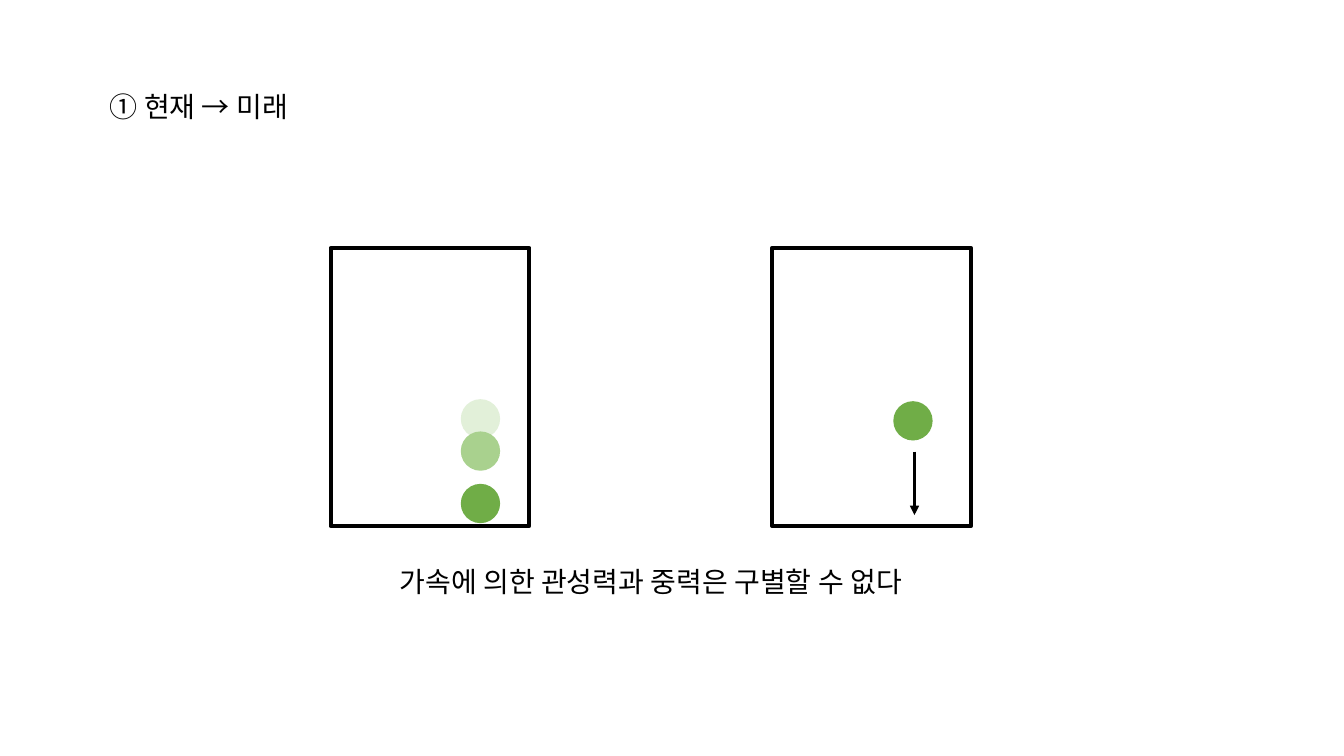
import pptx
import pptx.dml.color
import pptx.enum.shapes
import pptx.enum.text
import pptx.oxml.ns
import pptx.util
from lxml import etree

Inches = pptx.util.Inches
SHAPES = pptx.enum.shapes.MSO_SHAPE
ALIGN = pptx.enum.text.PP_ALIGN

FONT = "Noto Sans CJK KR"
BLACK = "000000"
LABELS = [
    ("① 현재 → 미래", 0.99, 0.84, 2.74, ALIGN.LEFT),
    ("가속에 의한 관성력과 중력은 구별할 수 없다", 3.52, 5.55, 5.87, ALIGN.CENTER),
]
LABEL_HEIGHT = 0.44
ROOM_LEFTS = [3.28, 7.66]
ROOM_TOP, ROOM_WIDTH, ROOM_HEIGHT = 2.46, 1.97, 2.76
BALL_SIZE = 0.39
BALLS = [
    (4.57, 3.96, "E2F0D9"),
    (4.57, 4.8, "70AD47"),
    (4.57, 4.28, "A9D18E"),
    (8.86, 3.98, "70AD47"),
]
ARROW_X, ARROW_TOP, ARROW_BOTTOM = 9.07, 4.48, 5.11


def color(value):
    return pptx.dml.color.RGBColor.from_string(value)


def set_line(line, width):
    line.color.rgb = color(BLACK)
    line.width = pptx.util.Pt(width)


def add_room(page, left):
    room = page.shapes.add_shape(SHAPES.RECTANGLE, Inches(left), Inches(ROOM_TOP),
                                 Inches(ROOM_WIDTH), Inches(ROOM_HEIGHT))
    room.shadow.inherit = False
    room.fill.background()
    set_line(room.line, 3)


def add_ball(page, left, top, fill):
    ball = page.shapes.add_shape(SHAPES.OVAL, Inches(left), Inches(top),
                                 Inches(BALL_SIZE), Inches(BALL_SIZE))
    ball.shadow.inherit = False
    ball.fill.solid()
    ball.fill.fore_color.rgb = color(fill)
    ball.line.fill.background()


def add_fall_arrow(page):
    arrow = page.shapes.add_connector(
        pptx.enum.shapes.MSO_CONNECTOR.STRAIGHT, Inches(ARROW_X), Inches(ARROW_TOP),
        Inches(ARROW_X), Inches(ARROW_BOTTOM))
    set_line(arrow.line, 2.25)
    qn = pptx.oxml.ns.qn
    properties = arrow._element.spPr
    etree.SubElement(properties.find(qn("a:ln")), qn("a:tailEnd"), type="triangle")
    etree.SubElement(properties, qn("a:effectLst"))


def add_label(page, text, left, top, width, align):
    box = page.shapes.add_textbox(Inches(left), Inches(top), Inches(width),
                                  Inches(LABEL_HEIGHT))
    box.text_frame.word_wrap = True
    para = box.text_frame.paragraphs[0]
    para.alignment = align
    span = para.add_run()
    span.text = text
    for name, value in {"name": FONT, "size": pptx.util.Pt(20)}.items():
        setattr(span.font, name, value)
    span.font.color.rgb = color(BLACK)
    # Korean glyphs take their typeface from the East Asian font slot
    etree.SubElement(span.font._element, pptx.oxml.ns.qn("a:ea"), typeface=FONT)


def main():
    deck = pptx.Presentation()
    deck.slide_width, deck.slide_height = Inches(13.33), Inches(7.5)
    page = deck.slides.add_slide(deck.slide_layouts[6])
    for left in ROOM_LEFTS:
        add_room(page, left)
    for ball in BALLS:
        add_ball(page, *ball)
    add_fall_arrow(page)
    for label in LABELS:
        add_label(page, *label)
    deck.save("out.pptx")


if __name__ == "__main__":
    main()
